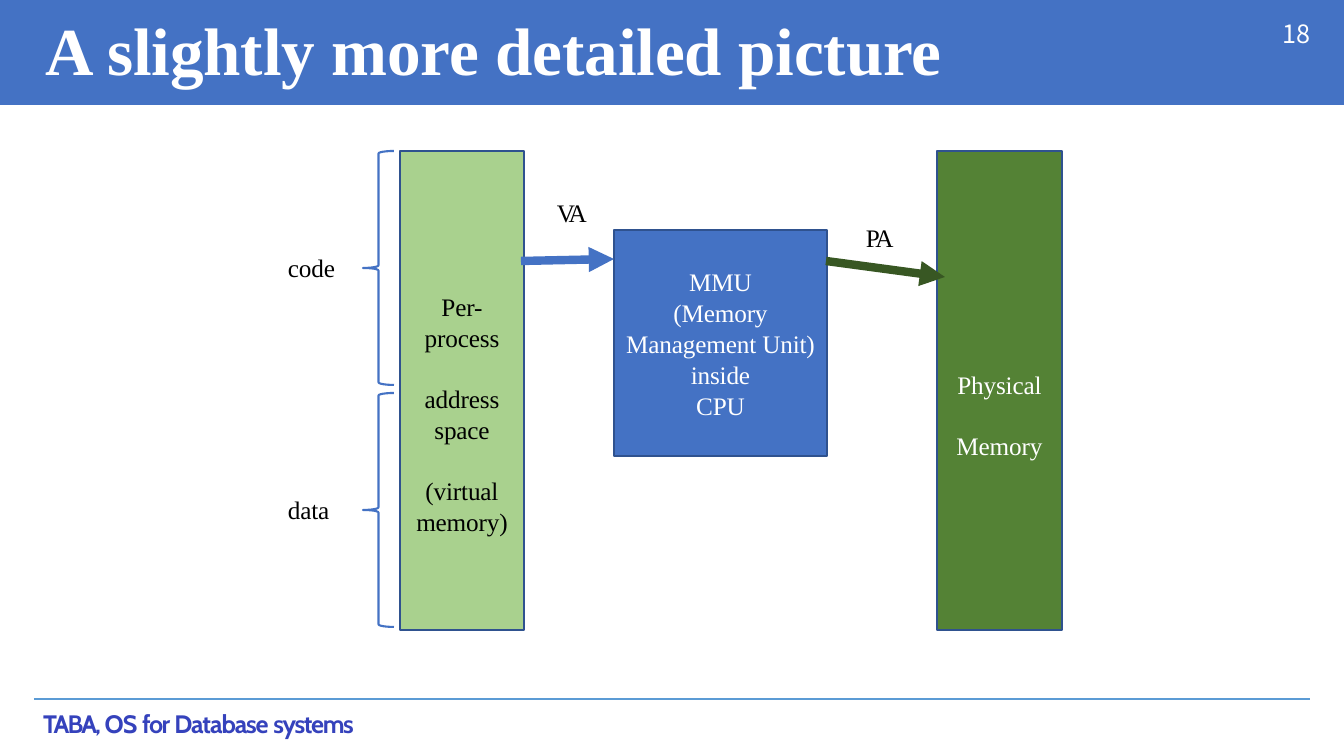
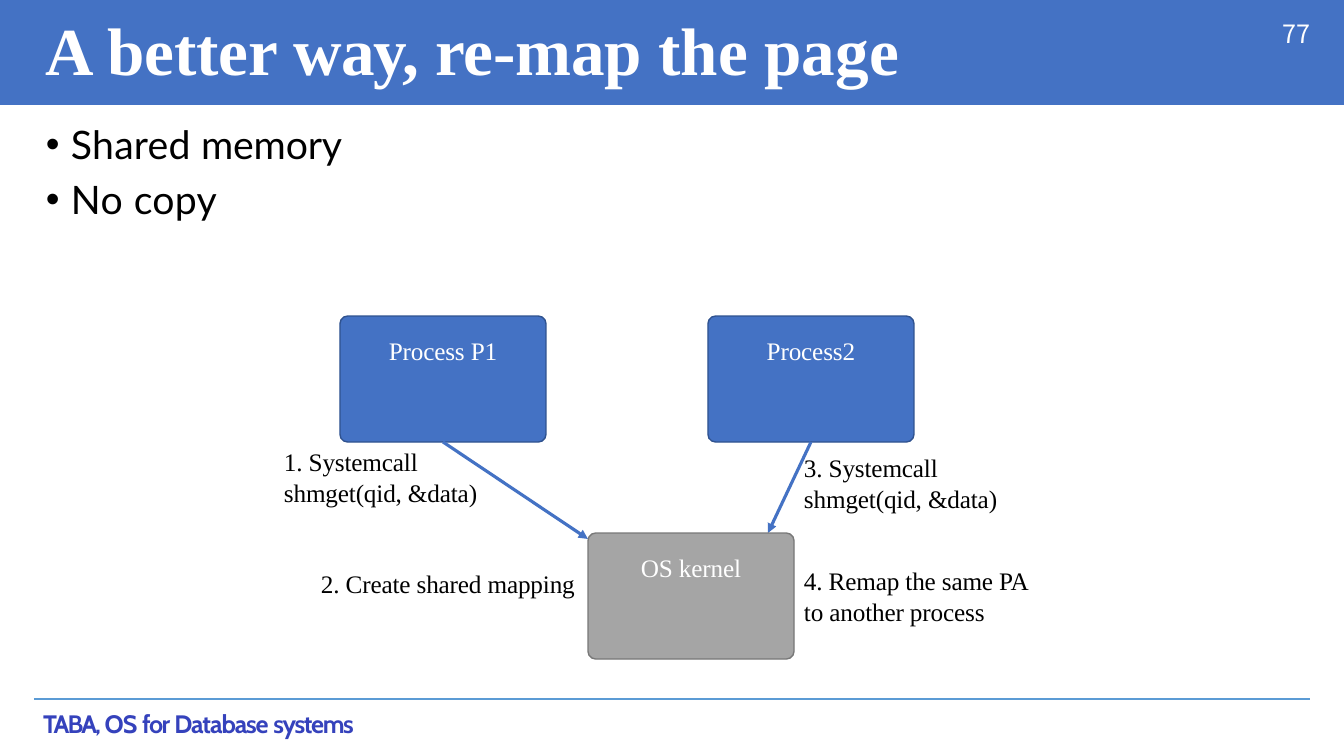
from dataclasses import dataclass
from typing import NamedTuple

from lxml import etree
from pptx import Presentation
from pptx.dml.color import RGBColor
from pptx.enum.shapes import MSO_CONNECTOR, MSO_SHAPE
from pptx.enum.text import MSO_ANCHOR, PP_ALIGN
from pptx.oxml.ns import qn
from pptx.util import Pt

RECTANGLE = MSO_SHAPE.RECTANGLE
ROUNDED = MSO_SHAPE.ROUNDED_RECTANGLE
BRACE = MSO_SHAPE.LEFT_BRACE
STRAIGHT = MSO_CONNECTOR.STRAIGHT
LEFT, CENTER = PP_ALIGN.LEFT, PP_ALIGN.CENTER
TOP, MIDDLE = MSO_ANCHOR.TOP, MSO_ANCHOR.MIDDLE
BOTTOM_SITE = 2
EMU_PER_PX = 914400 / 100.8
BLANK_LAYOUT = 6


class Style(NamedTuple):
    """Font, size, colour, weight and letter spacing of a text."""
    name: str
    size: float
    color: str
    bold: bool = False
    tracking: float = 0


@dataclass(frozen=True)
class Theme:
    """Colours and type styles shared by the deck."""
    blue: str = "4472C4"
    blue_edge: str = "2F528F"
    rule: str = "5B9BD5"
    light_green: str = "A9D18E"
    green: str = "548235"
    dark_green: str = "385723"
    gray: str = "A5A5A5"
    gray_edge: str = "787878"
    title: Style = Style("Times New Roman", 48, "FFFFFF", True, -0.1)
    number: Style = Style("Noto Sans CJK JP", 18, "FFFFFF", False, -0.3)
    footer: Style = Style("Cabin", 18, "3542BC", True, -1)
    bullet: Style = Style("Lato", 28, "000000")
    label: Style = Style("Times New Roman", 18, "000000", False, -0.1)
    inverse: Style = Style("Times New Roman", 18, "FFFFFF", False, -0.1)


THEME = Theme()


class Box(NamedTuple):
    """A rectangle in px."""
    left: int
    top: int
    width: int
    height: int

    def inner(self, left, top, width, height):
        """Return a box placed relative to this one."""
        return Box(self.left + left, self.top + top, width, height)

    def point(self, left, top):
        """Return a point placed relative to this box."""
        return self.left + left, self.top + top


def px(*lengths):
    """Turn px lengths into EMU."""
    return [round(length * EMU_PER_PX) for length in lengths]


def apply_format(target, **values):
    """Set each named attribute of the target."""
    for name, value in values.items():
        setattr(target, name, value)


def add_line_of_text(para, line, style):
    """Fill a paragraph with spans of text and letter spacing."""
    spans = [(line, style.tracking)] if isinstance(line, str) else line
    for text, tracking in spans:
        span = para.add_run()
        span.text = text
        apply_format(span.font, name=style.name, size=Pt(style.size), bold=style.bold)
        span.font.color.rgb = RGBColor.from_string(style.color)
        span._r.get_or_add_rPr().set("spc", str(round(tracking * 100)))


def write_text(shape, lines, style, align=LEFT, anchor=TOP, inset=0, spacing=1.0, gaps=()):
    """Write one paragraph per line; gaps maps a line index to points before it."""
    frame = shape.text_frame
    apply_format(frame, word_wrap=True, vertical_anchor=anchor, margin_left=0,
                 margin_right=0, margin_bottom=0, margin_top=px(inset)[0])
    gaps = dict(gaps)
    for index, line in enumerate(lines):
        para = frame.add_paragraph() if index else frame.paragraphs[0]
        apply_format(para, alignment=align, line_spacing=spacing,
                     space_before=Pt(gaps.get(index, 0)))
        add_line_of_text(para, line, style)
    return frame


def add_text(page, box, lines, style, **options):
    """Add a text box."""
    return write_text(page.shapes.add_textbox(*px(*box)), lines, style, **options)


def add_block(page, kind, box, fill=None, edge=None, weight=1):
    """Add a flat preset shape."""
    shape = page.shapes.add_shape(kind, *px(*box))
    shape.shadow.inherit = False
    if fill:
        shape.fill.solid()
        shape.fill.fore_color.rgb = RGBColor.from_string(fill)
    else:
        shape.fill.background()
    if edge:
        shape.line.color.rgb = RGBColor.from_string(edge)
        shape.line.width = Pt(weight)
    else:
        shape.line.fill.background()
    return shape


def add_line(page, start, end, color, weight, arrow=True, source=None):
    """Add a straight line, joined to the bottom of its source if given."""
    line = page.shapes.add_connector(STRAIGHT, *px(*start, *end))
    line.line.color.rgb = RGBColor.from_string(color)
    line.line.width = Pt(weight)
    if arrow:
        etree.SubElement(line.line._get_or_add_ln(), qn("a:tailEnd"), type="triangle")
    etree.SubElement(line._element.spPr, qn("a:effectLst"))
    if source is not None:
        line.begin_connect(source, BOTTOM_SITE)


def add_page(deck, title, number):
    """Add a page with its title band, number and footer."""
    page = deck.slides.add_slide(deck.slide_layouts[BLANK_LAYOUT])
    band = Box(0, 0, 1344, 105)
    add_block(page, RECTANGLE, band, THEME.blue)
    add_text(page, band.inner(46, 8, 1100, 84), [title], THEME.title)
    add_text(page, band.inner(1283, 18, 40, 34), [number], THEME.number)
    add_line(page, (34, 699), (1310, 699), THEME.rule, 1.5, arrow=False)
    footer = [("TABA, ", -1.4), ("OS ", -0.7), ("for ", -1.1),
              ("Database ", -0.8), ("systems", -1)]
    add_text(page, Box(43, 708, 360, 33), [footer], THEME.footer)
    return page


def add_address_space(page, box):
    """Draw the virtual address column with its braced parts."""
    column = add_block(page, RECTANGLE, box.inner(112, 0, 124, box.height),
                       THEME.light_green, THEME.blue_edge)
    words = ["Per-", "process", "address", "space", "(virtual", "memory)"]
    write_text(column, words, THEME.label, align=CENTER, inset=140,
               spacing=1.02, gaps={2: 21.5, 4: 21.5})
    for index, part in enumerate(("code", "data")):
        top = index * 242
        add_block(page, BRACE, box.inner(75, top, 31, 234), edge=THEME.blue, weight=1.5)
        add_text(page, box.inner(0, top + 101, 65, 33), [part], THEME.label)


def add_translation(page, box):
    """Draw the MMU, physical memory and the arrows between them."""
    unit = add_block(page, RECTANGLE, box.inner(90, 79, 213, 226),
                     THEME.blue, THEME.blue_edge)
    write_text(unit, ["MMU", "(Memory", "Management Unit)", "inside", "CPU"],
               THEME.inverse, align=CENTER, anchor=MIDDLE, spacing=1.02)
    memory = add_block(page, RECTANGLE, box.inner(413, 0, 125, box.height),
                       THEME.green, THEME.blue_edge)
    write_text(memory, ["Physical", "Memory"], THEME.inverse, align=CENTER,
               inset=218, spacing=1.02, gaps={1: 21.5})
    arrows = [((-3, 110), (90, 108), THEME.blue, (33, 46), ("VA", -2.4)),
              ((302, 110), (421, 126), THEME.dark_green, (342, 71), ("PA", -1.7))]
    for start, end, color, corner, address in arrows:
        add_line(page, box.point(*start), box.point(*end), color, 6)
        add_text(page, box.inner(*corner, 45, 33), [[address]], THEME.label)


def add_bullets(page, box, lines):
    """Write a bulleted list."""
    frame = add_text(page, box, lines, THEME.bullet, gaps={1: 6.2})
    hanging, indent = px(26, -25)
    for para in frame.paragraphs:
        properties = para._p.get_or_add_pPr()
        properties.set("marL", str(hanging))
        properties.set("indent", str(indent))
        etree.SubElement(properties, qn("a:buFont"), typeface="Arial")
        etree.SubElement(properties, qn("a:buChar"), char="•")


def add_shared_memory(page, box):
    """Draw two processes calling the kernel, with numbered steps."""
    nodes = [("Process P1", (56, 0), THEME.blue, THEME.blue_edge, (304, 223)),
             ("Process2", (424, 0), THEME.blue, THEME.blue_edge, (484, 217)),
             ("OS kernel", (304, 217), THEME.gray, THEME.gray_edge, None)]
    for name, corner, fill, edge, target in nodes:
        node_box = box.inner(*corner, 206, 126)
        node = add_block(page, ROUNDED, node_box, fill, edge)
        node.adjustments[0] = 0.06
        write_text(node, [name], THEME.inverse, align=CENTER, inset=17)
        if target:
            add_line(page, node_box.point(103, 126), box.point(*target),
                     THEME.blue, 2.25, source=node)
    steps = [((0, 130), ["1. Systemcall", "shmget(qid, &data)"]),
             ((37, 252), ["2. Create shared mapping"]),
             ((520, 136), ["3. Systemcall", "shmget(qid, &data)"]),
             ((520, 249), ["4. Remap the same PA", "to another process"])]
    for corner, lines in steps:
        add_text(page, box.inner(*corner, 265, 33 * len(lines)), lines,
                 THEME.label, spacing=1.02)


def build_translation_page(deck):
    """Build the address translation page."""
    page = add_page(deck, "A slightly more detailed picture", "18")
    add_address_space(page, Box(288, 151, 236, 479))
    add_translation(page, Box(524, 151, 538, 479))


def build_sharing_page(deck):
    """Build the shared memory page."""
    title = [("A ", 0), ("better ", -0.1), ("way, ", -0.7),
             ("re-map ", -0.2), ("the page", 0)]
    page = add_page(deck, title, "77")
    add_bullets(page, Box(45, 120, 320, 104),
                [[("Shared ", 0.2), ("memory", -0.1)], [("No ", 0.3), ("copy", 0.2)]])
    add_shared_memory(page, Box(284, 316, 785, 343))


def main():
    """Build and save the deck."""
    deck = Presentation()
    deck.slide_width, deck.slide_height = px(1344, 756)
    build_translation_page(deck)
    build_sharing_page(deck)
    deck.save("out.pptx")


if __name__ == "__main__":
    main()
